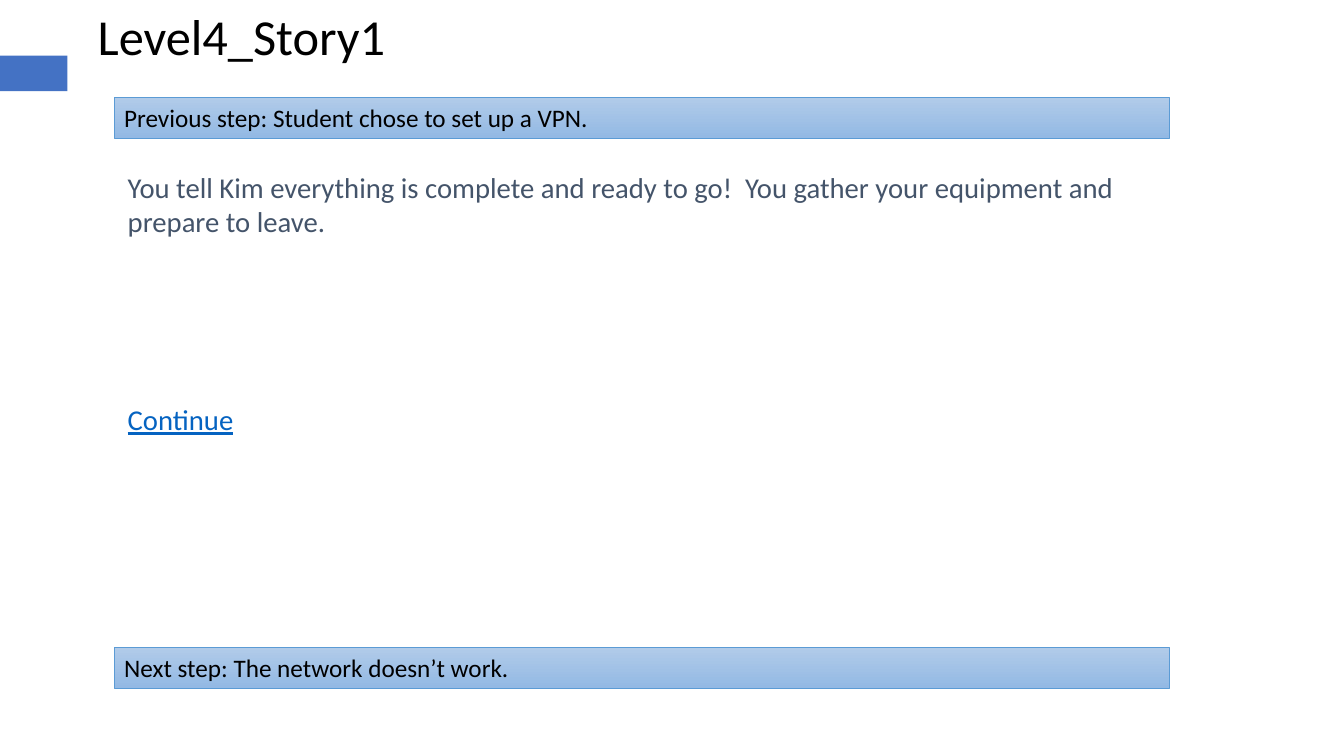
from pptx import Presentation
from pptx.dml.color import RGBColor
from pptx.enum import shapes, text
from pptx.util import Cm, Pt

FONT = "Calibri"
LEFT = 2.88
BAND_TOPS = {
    "Previous step: Student chose to set up a VPN.": 2.45,
    "Next step: The network doesn’t work.": 16.31,
}


def colour(value):
    return RGBColor.from_string(value)


def set_text(box, words, size, ink, inset=(0.25, 0.13), underline=False):
    frame = box.text_frame
    side, end = (Cm(length) for length in inset)
    values = {
        "margin_left": side, "margin_right": side,
        "margin_top": end, "margin_bottom": end,
        "word_wrap": True, "vertical_anchor": text.MSO_ANCHOR.TOP,
        "auto_size": text.MSO_AUTO_SIZE.NONE,
    }
    for name, value in values.items():
        setattr(frame, name, value)
    para = frame.paragraphs[0]
    para.alignment = text.PP_ALIGN.LEFT
    span = para.add_run()
    span.text = words
    for name, value in {"name": FONT, "size": Pt(size), "underline": underline}.items():
        setattr(span.font, name, value)
    span.font.color.rgb = colour(ink)


def add_title(page, words):
    title = page.shapes.title
    place = {"left": Cm(2.21), "top": Cm(0), "width": Cm(8.2), "height": Cm(1.8)}
    for name, value in place.items():
        setattr(title, name, value)
    set_text(title, words, 36, "000000")


def add_rectangle(page, left, top, width, height):
    box = page.shapes.add_shape(
        shapes.MSO_SHAPE.RECTANGLE, Cm(left), Cm(top), Cm(width), Cm(height))
    box.shadow.inherit = False
    return box


def add_accent(page):
    accent = add_rectangle(page, 0, 1.4, 1.7, 0.9)
    accent.fill.solid()
    accent.fill.fore_color.rgb = colour("4472C4")
    accent.line.fill.background()


def add_step_band(page, top, words):
    band = add_rectangle(page, LEFT, top, 26.59, 1.03)
    band.fill.gradient()
    band.fill.gradient_angle = 270
    for stop, shade in zip(band.fill.gradient_stops, ("B1CBE9", "93B9E4")):
        stop.color.rgb = colour(shade)
    band.line.color.rgb = colour("5B9BD5")
    band.line.width = Pt(0.5)
    set_text(band, words, 18, "000000")


def add_story_text(page, top, width, height, words, ink, underline=False):
    box = page.shapes.add_textbox(Cm(LEFT), Cm(top), Cm(width), Cm(height))
    set_text(box, words, 20.5, ink, inset=(0.34, 0.17), underline=underline)


def main():
    deck = Presentation()
    deck.slide_width, deck.slide_height = Cm(33.87), Cm(19.05)
    page = deck.slides.add_slide(deck.slide_layouts[5])

    # Heading and accent
    add_accent(page)
    add_title(page, "Level4_Story1")

    # Story and choice
    add_story_text(
        page, 4.11, 27.86, 3.07,
        "You tell Kim everything is complete and ready to go!  "
        "You gather your equipment and prepare to leave.", "44546A")
    add_story_text(page, 9.96, 10.36, 2.64, "Continue", "0563C1", underline=True)

    # Steps before and after
    for words, top in BAND_TOPS.items():
        add_step_band(page, top, words)

    deck.save("out.pptx")


if __name__ == "__main__":
    main()
